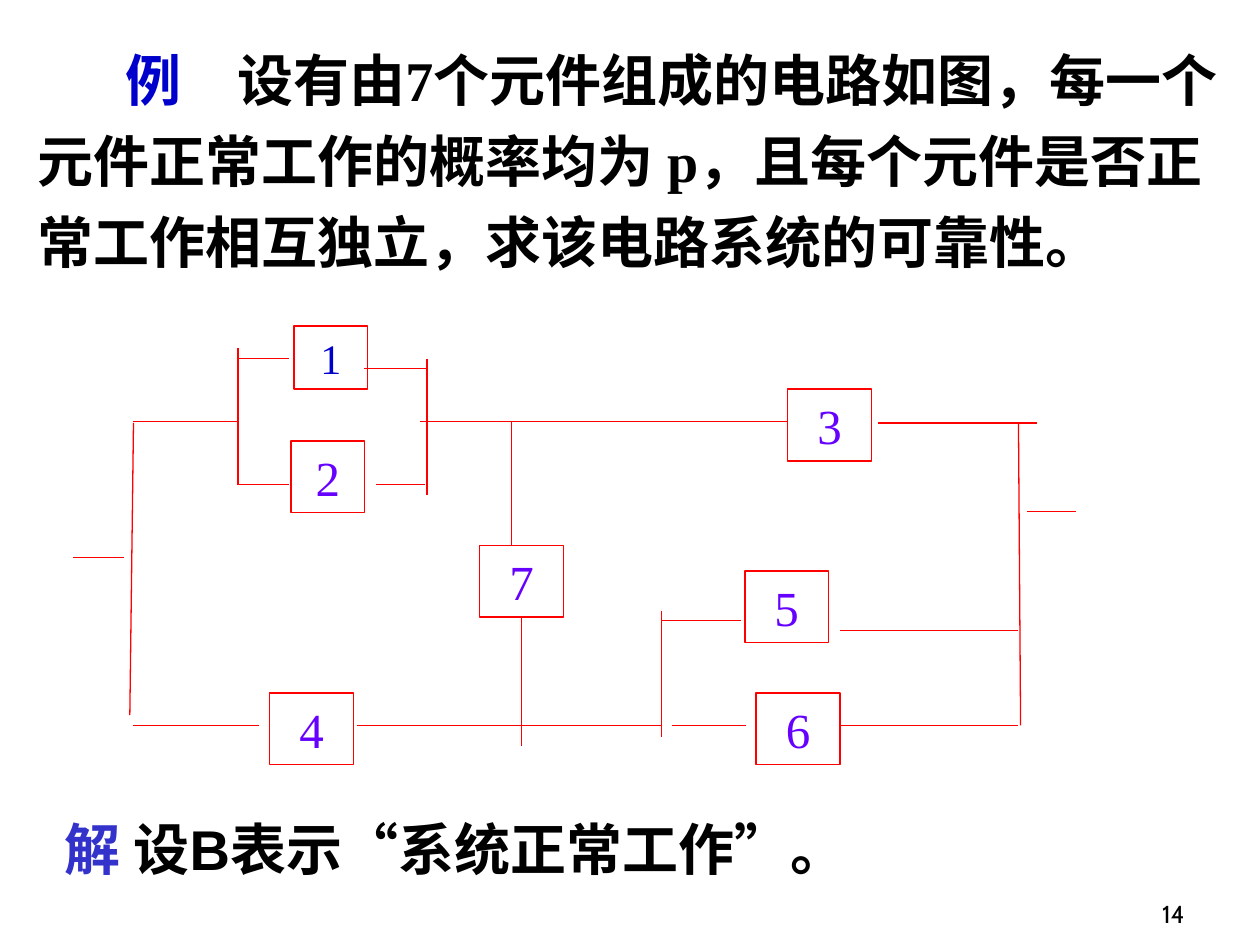
from lxml import etree
from pptx import Presentation
from pptx.dml.color import RGBColor
from pptx.enum.shapes import MSO_CONNECTOR as Connector, MSO_SHAPE as Shape
from pptx.enum.text import MSO_ANCHOR as Anchor, MSO_AUTO_SIZE as AutoSize, PP_ALIGN as Align
from pptx.oxml.ns import qn
from pptx.util import Pt

COLORS = {"wire": "FF0000", "digit": "6600FF", "example": "0000CC",
          "answer": "3333CC", "text": "000000"}

# component: left, top, width, height, font size, colour
COMPONENTS = {
    "1": (126, 0, 42, 36, 24, "example"),
    "2": (124.3, 65.5, 42, 41, 28, "digit"),
    "3": (408, 36, 48, 41, 28, "digit"),
    "4": (112, 209.5, 48, 41, 28, "digit"),
    "5": (383.5, 139.7, 48, 41, 28, "digit"),
    "6": (390, 209.5, 48, 41, 28, "digit"),
    "7": (232, 125.3, 48, 41, 28, "digit"),
}
# y, then the left and right end of each wire at that height
LEVEL_WIRES = [
    (18.5, [(94, 123)]),
    (24, [(166, 202)]),
    (54.5, [(34.3, 94), (198, 266), (258, 408)]),
    (55.2, [(460, 550.6)]),
    (90.5, [(94, 123), (172.6, 200.6)]),
    (106, [(545, 573)]),
    (132, [(0, 28.6)]),
    (168, [(336, 381.4)]),
    (174, [(438, 540)]),
    (228, [(34.3, 106), (161.8, 336), (341.8, 384.2), (438, 540)]),
]
# x1, y1, x2, y2, width
UPRIGHT_WIRES = [
    (34.3, 55.2, 32.2, 222.2, 0.75),
    (94, 12.5, 94, 90.5, 0.75),
    (202, 18.5, 202, 96.2, 0.75),
    (250.3, 54.5, 250.3, 125.3, 1),
    (336, 162.5, 336, 234.5, 1),
    (540, 55.2, 541.2, 228, 0.75),
]


def rgb(name):
    return RGBColor.from_string(COLORS[name])


def add_text(page, box, spans, font, size, bold=True):
    """Adds a one-paragraph text box; spans are (text, colour) pairs."""
    shape = page.shapes.add_textbox(*map(Pt, box))
    frame = shape.text_frame
    frame.word_wrap = True
    para = frame.paragraphs[0]
    para.font.name, para.font.size, para.font.bold = font, Pt(size), bold
    for text, color in spans:
        span = para.add_run()
        span.text = text
        span.font.color.rgb = rgb(color)
    return frame, para


def add_question(page, box):
    frame, para = add_text(page, box, [
        ("例", "example"),
        ("　设有由7个元件组成的电路如图，每一个元件正常工作的概率均为 p，"
         "且每个元件是否正常工作相互独立，求该电路系统的可靠性。", "text"),
    ], "Times New Roman", 32)
    frame.auto_size = AutoSize.SHAPE_TO_FIT_TEXT
    para.line_spacing = 1.2
    para.space_before = Pt(20)
    properties = para._p.get_or_add_pPr()
    properties.set("marL", "0")
    properties.set("indent", str(Pt(50)))


def add_answer(page, box):
    frame, para = add_text(page, box, [
        ("解 ", "answer"), ("设B表示“系统正常工作”。", "text")], "Arial", 32)
    frame.auto_size = AutoSize.SHAPE_TO_FIT_TEXT
    para.space_before = Pt(20)


def add_page_number(page, box):
    frame, para = add_text(page, box, [("14", "text")], "Cabin", 14, bold=False)
    frame.vertical_anchor = Anchor.BOTTOM
    para.alignment = Align.RIGHT


def add_wire(page, x1, y1, x2, y2, width=0.75):
    wire = page.shapes.add_connector(Connector.STRAIGHT, *map(Pt, (x1, y1, x2, y2)))
    wire.line.color.rgb = rgb("wire")
    wire.line.width = Pt(width)
    etree.SubElement(wire._element.spPr, qn("a:effectLst"))
    return wire


def add_component(page, box, label, size, color):
    shape = page.shapes.add_shape(Shape.RECTANGLE, *map(Pt, box))
    shape.shadow.inherit = False
    shape.fill.background()
    shape.line.color.rgb = rgb("wire")
    shape.line.width = Pt(1)
    frame = shape.text_frame
    frame.vertical_anchor = Anchor.TOP
    para = frame.paragraphs[0]
    para.text = label
    para.alignment = Align.CENTER
    para.font.name, para.font.size = "Times New Roman", Pt(size)
    para.font.color.rgb = rgb(color)
    return shape


def add_circuit(page, box):
    left, top = box[:2]
    for y, spans in LEVEL_WIRES:
        for start, end in spans:
            add_wire(page, left + start, top + y, left + end, top + y)
    for x1, y1, x2, y2, width in UPRIGHT_WIRES:
        add_wire(page, left + x1, top + y1, left + x2, top + y2, width)
    components = {
        label: add_component(page, (left + x, top + y, width, height), label, size, color)
        for label, (x, y, width, height, size, color) in COMPONENTS.items()
    }
    bridge = add_wire(page, left + 256, top + 166.3, left + 256, top + 240, 1)
    bridge.begin_connect(components["7"], 2)


def main():
    deck = Presentation()
    deck.slide_width, deck.slide_height = Pt(720), Pt(540)
    page = deck.slides.add_slide(deck.slide_layouts[6])
    add_page_number(page, (534, 498, 150, 36))
    add_question(page, (14.4, 15, 700.6, 191.5))
    add_circuit(page, (42, 186.5, 573, 251))
    add_answer(page, (30, 462, 582, 46))
    deck.save("out.pptx")


if __name__ == "__main__":
    main()
